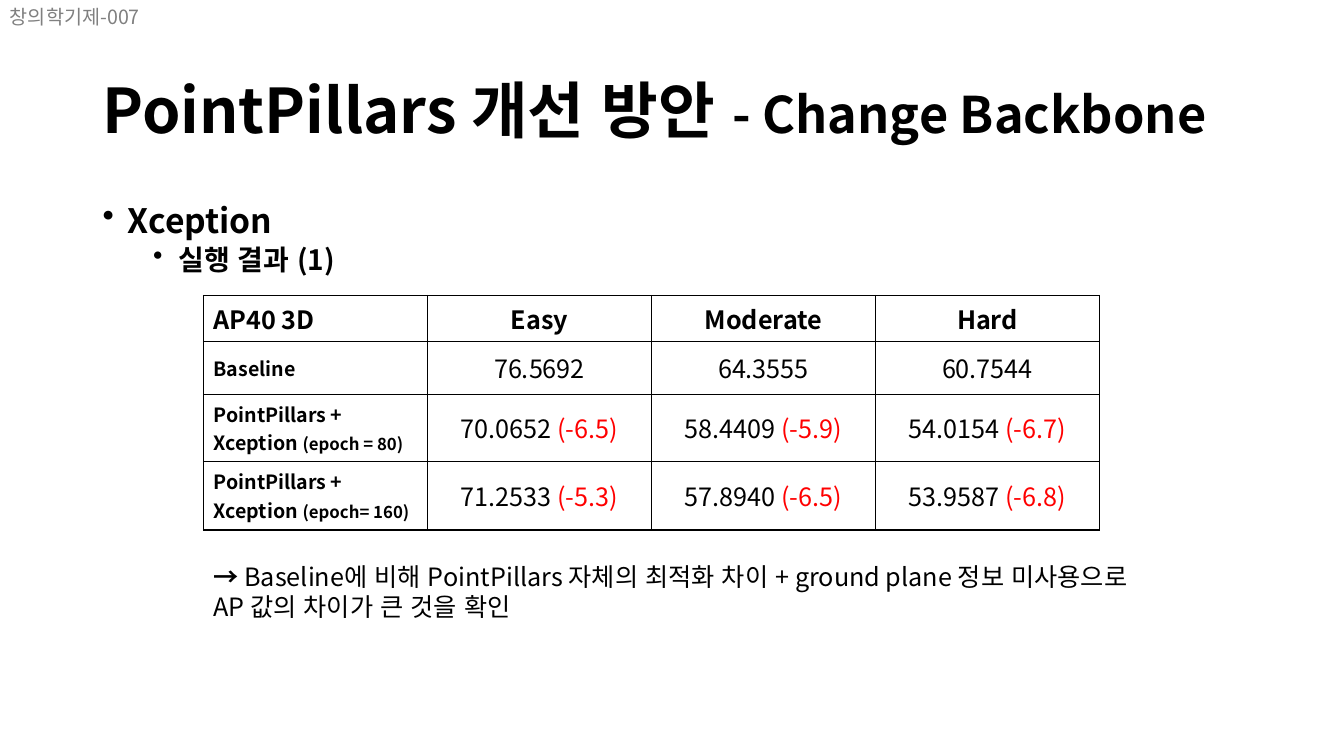
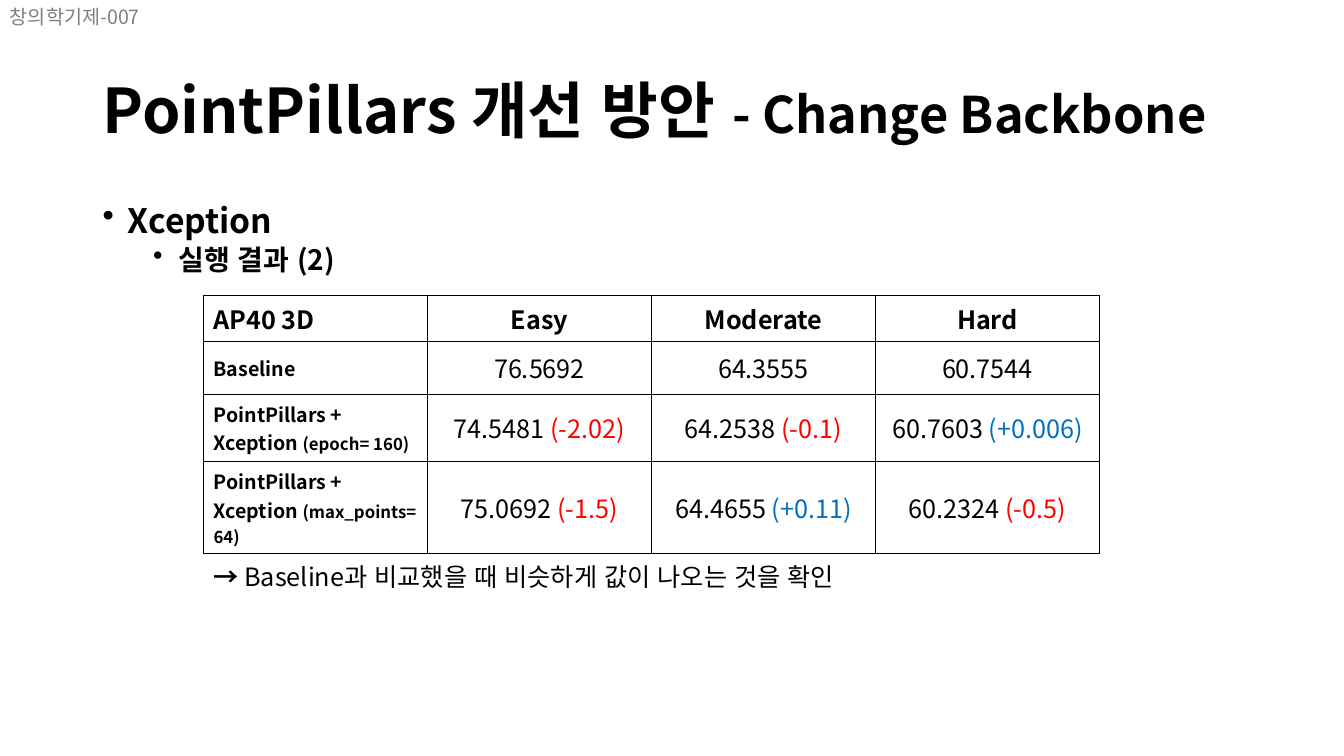
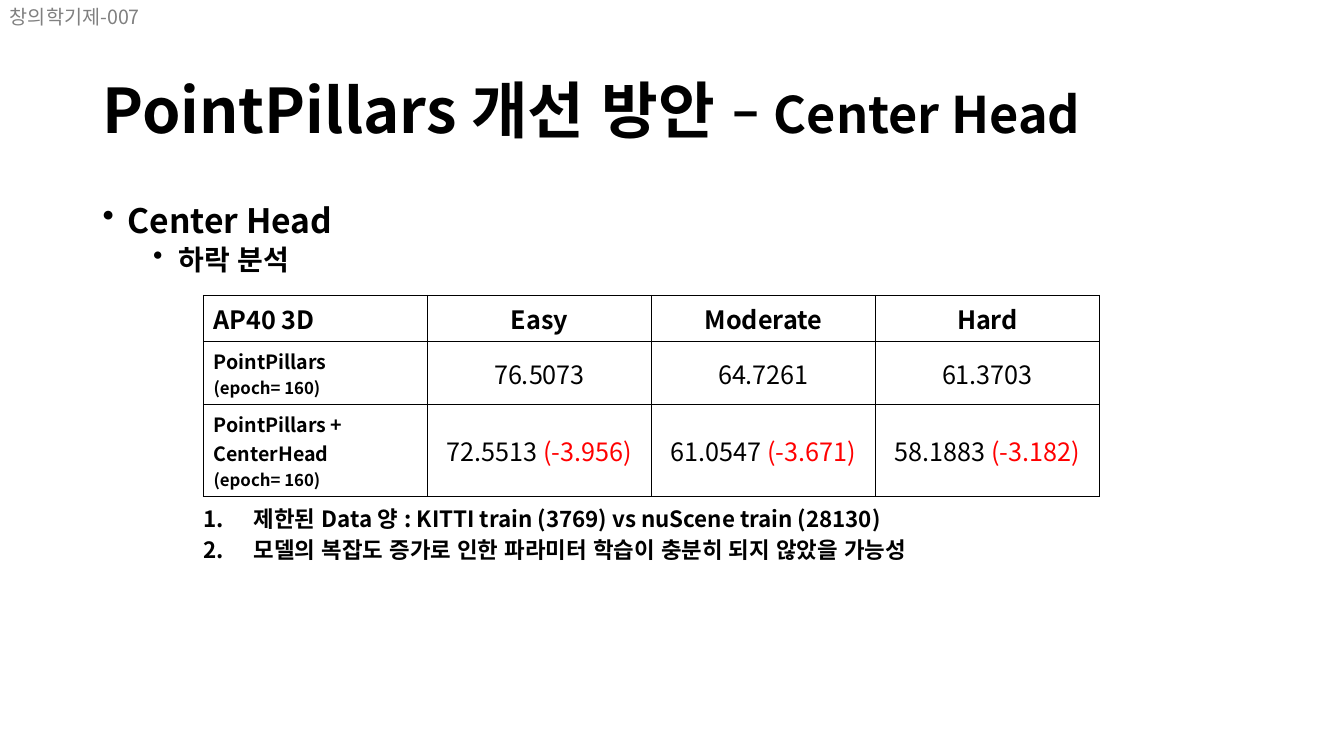
"""Builds three result slides on PointPillars backbones and heads."""
from lxml import etree
from pptx import Presentation
from pptx.dml.color import RGBColor
from pptx.enum import lang, text as t
from pptx.oxml import ns
from pptx.util import Pt

FONT = "Noto Sans CJK KR"
BLACK = RGBColor(0, 0, 0)
GRAY = RGBColor(0x80, 0x80, 0x80)
RED = RGBColor(0xFF, 0, 0)
BLUE = RGBColor(0, 0x70, 0xC0)
HEAD = ["AP40 3D", "Easy", "Moderate", "Hard"]
BASE = [("Baseline", ""), "76.5692", "64.3555", "60.7544"]
XCEP = "PointPillars + Xception "

SLIDES = [
    {
        "title": "- Change Backbone", "topic": "Xception", "sub": "실행 결과 (1)",
        "highs": [33, 37.6, 48, 49],
        "rows": [
            BASE,
            [(XCEP, "(epoch = 80)"), "70.0652 (-6.5)", "58.4409 (-5.9)", "54.0154 (-6.7)"],
            [(XCEP, "(epoch= 160)"), "71.2533 (-5.3)", "57.8940 (-6.5)", "53.9587 (-6.8)"],
        ],
        "note": "Baseline에 비해 PointPillars 자체의 최적화 차이 + ground plane 정보 "
                "미사용으로 AP 값의 차이가 큰 것을 확인",
    },
    {
        "title": "- Change Backbone", "topic": "Xception", "sub": "실행 결과 (2)",
        "highs": [33, 37.6, 48, 65.7],
        "rows": [
            BASE,
            [(XCEP, "(epoch= 160)"), "74.5481 (-2.02)", "64.2538 (-0.1)", "60.7603 (+0.006)"],
            [(XCEP, "(max_points= 64)"), "75.0692 (-1.5)", "64.4655 (+0.11)", "60.2324 (-0.5)"],
        ],
        "note": "Baseline과 비교했을 때 비슷하게 값이 나오는 것을 확인",
    },
    {
        "title": "– Center Head", "topic": "Center Head", "sub": "하락 분석",
        "highs": [33, 45, 65.7],
        "rows": [
            [("PointPillars\n", "(epoch= 160)"), "76.5073", "64.7261", "61.3703"],
            [("PointPillars + CenterHead\n", "(epoch= 160)"),
             "72.5513 (-3.956)", "61.0547 (-3.671)", "58.1883 (-3.182)"],
        ],
        "list": ["제한된 Data 양 : KITTI train (3769) vs nuScene train (28130)",
                 "모델의 복잡도 증가로 인한 파라미터 학습이 충분히 되지 않았을 가능성"],
    },
]


def add_box(slide, left, top, width, height):
    """Add a wrapping text box and return its text frame."""
    frame = slide.shapes.add_textbox(Pt(left), Pt(top), Pt(width), Pt(height)).text_frame
    frame.word_wrap = True
    return frame


def write(para, words, size, bold=False, color=BLACK, mark=None, left=0, hang=0):
    """Style a paragraph, add its first run, and set a bullet if given."""
    font = para.font
    font.size, font.bold, font.name = Pt(size), bold, FONT
    font.color.rgb = color
    font.language_id = lang.MSO_LANGUAGE_ID.KOREAN
    props = para._p.get_or_add_pPr()
    base = props.find(ns.qn("a:defRPr"))
    base.set("kern", "0")
    etree.SubElement(base, ns.qn("a:ea"), typeface=FONT)
    if mark:
        props.set("marL", str(Pt(left)))
        props.set("indent", str(-Pt(hang)))
        if mark == "1.":
            item = etree.Element(ns.qn("a:buAutoNum"), type="arabicPeriod")
        else:
            item = etree.Element(ns.qn("a:buChar"), char=mark)
        base.addprevious(item)
    para.add_run().text = words


deck = Presentation()
deck.slide_width, deck.slide_height = Pt(960), Pt(540)

for data in SLIDES:
    slide = deck.slides.add_slide(deck.slide_layouts[6])

    frame = add_box(slide, 66.24, 28.8, 828, 104.4)
    frame.vertical_anchor = t.MSO_ANCHOR.MIDDLE
    para = frame.paragraphs[0]
    para.line_spacing = 0.9
    write(para, "PointPillars 개선 방안 ", 44, True)
    run = para.add_run()
    run.text, run.font.size = data["title"], Pt(36)

    write(add_box(slide, 0, 0, 123, 24.5).paragraphs[0], "창의학기제-007", 14, color=GRAY)

    frame = add_box(slide, 66.24, 139.2, 828, 70)
    write(frame.paragraphs[0], data["topic"], 24, True, mark="•", left=18, hang=18)
    para = frame.add_paragraph()
    para.space_before = Pt(1.5)
    write(para, data["sub"], 20, True, mark="•", left=54, hang=18)

    rows, highs = [HEAD] + data["rows"], data["highs"]
    table = slide.shapes.add_table(len(rows), 4, Pt(145.4), Pt(211), Pt(640),
                                   Pt(sum(highs))).table
    table.first_row = table.horz_banding = False
    for y, row in enumerate(rows):
        table.rows[y].height = Pt(highs[y])
        for x, value in enumerate(row):
            cell = table.cell(y, x)
            cell.vertical_anchor = t.MSO_ANCHOR.MIDDLE
            cell.fill.background()
            props = cell._tc.get_or_add_tcPr()
            for i, side in enumerate(["lnL", "lnR", "lnT", "lnB"]):
                line = etree.Element(ns.qn("a:" + side), w=str(Pt(1)))
                fill = etree.SubElement(line, ns.qn("a:solidFill"))
                etree.SubElement(fill, ns.qn("a:srgbClr"), val=str(BLACK))
                props.insert(i, line)
            para = cell.text_frame.paragraphs[0]
            if x:
                para.alignment = t.PP_ALIGN.CENTER
            if y == 0:
                write(para, value, 18, True)
            elif x == 0:
                name, extra = value
                write(para, name.strip("\n"), 14, True)
                if name.endswith("\n"):
                    write(cell.text_frame.add_paragraph(), extra, 12, True)
                elif extra:
                    run = para.add_run()
                    run.text, run.font.size = extra, Pt(12)
            else:
                score, gap, delta = value.partition(" ")
                write(para, score + gap, 18)
                if delta:
                    run = para.add_run()
                    run.text = delta
                    run.font.color.rgb = BLUE if "+" in delta else RED

    if "note" in data:
        para = add_box(slide, 145.4, 397.4, 680.4, 51).paragraphs[0]
        write(para, "→ ", 18, True)
        run = para.add_run()
        run.text, run.font.bold = data["note"], False
    else:
        frame = add_box(slide, 138.2, 357.5, 756, 56)
        for i, words in enumerate(data["list"]):
            para = frame.add_paragraph() if i else frame.paragraphs[0]
            para.space_before = Pt(2.4 * i)
            write(para, words, 16, True, mark="1.", left=36, hang=36)

deck.save("out.pptx")
